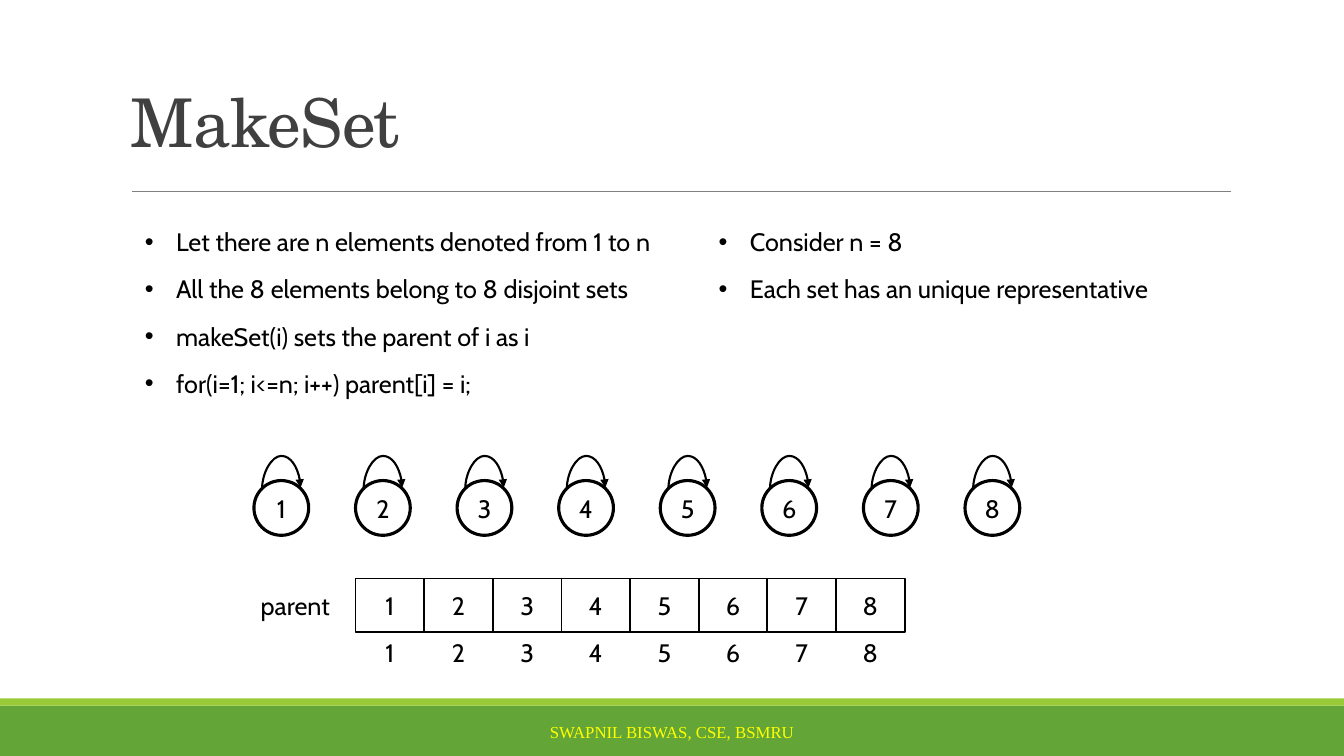
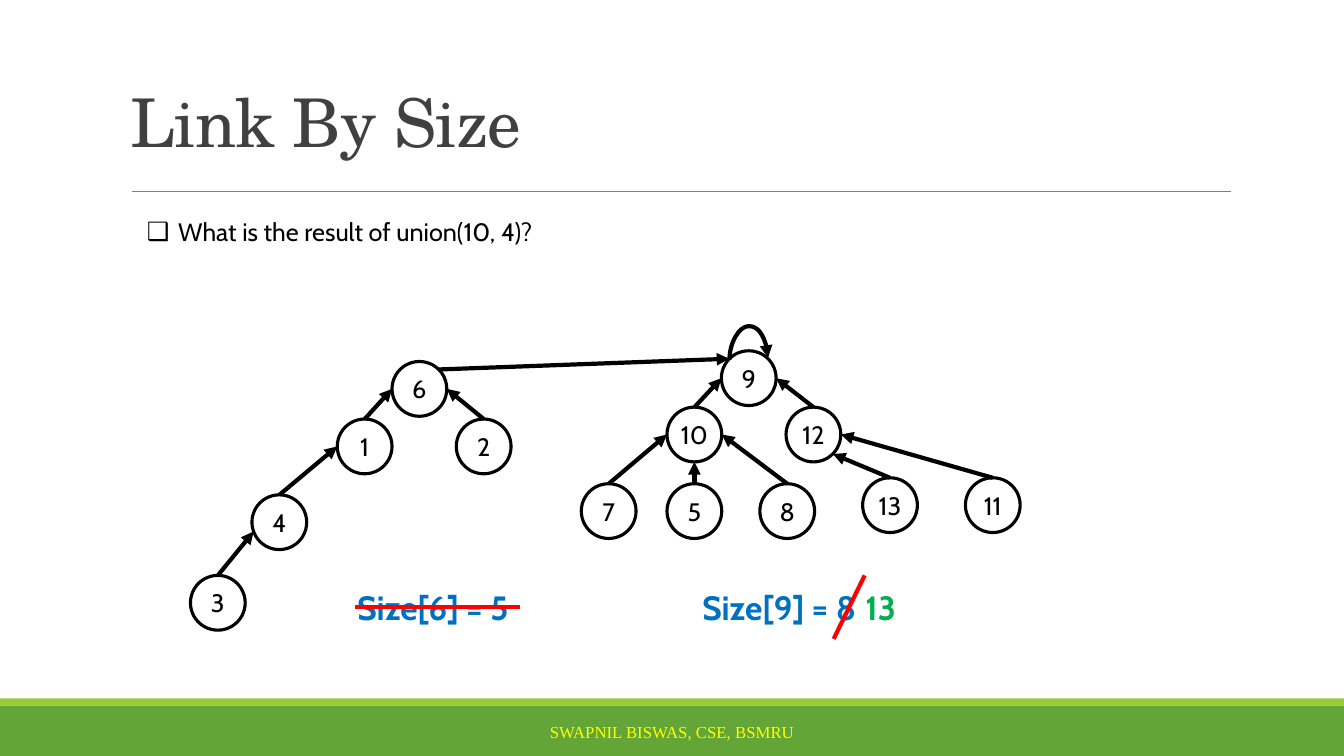
from dataclasses import dataclass
from lxml import etree
from pptx import Presentation
from pptx import util as u
from pptx.dml.color import RGBColor
from pptx.enum import shapes, text
from pptx.oxml.ns import qn

Cm, Pt = u.Cm, u.Pt
KIND, LINE = shapes.MSO_SHAPE, shapes.MSO_CONNECTOR
LEFT, MID = text.PP_ALIGN.LEFT, text.PP_ALIGN.CENTER


# Colours, type and sizes
@dataclass(frozen=True)
class Theme:
    ink: str = "000000"
    paper: str = "FFFFFF"
    dark: str = "63A537"
    lime: str = "99CB38"
    rule: str = "808080"
    grey: str = "404040"
    gold: str = "FFFF00"
    blue: str = "0070C0"
    green: str = "00B050"
    red: str = "FF0000"
    wide: float = 33.87
    high: float = 19.05
    node: float = 1.38

    def style(self, kind):
        name, size, bold, tint = {
            "title": ("TeX Gyre Schola", 48, False, self.grey),
            "body": ("Cabin", 18, False, self.ink),
            "size": ("Cabin", 24, True, self.blue),
            "new": ("Cabin", 24, True, self.green),
            "foot": ("Times New Roman", 12, False, self.gold),
        }[kind]
        return {"name": name, "size": Pt(size), "bold": bold}, tint


T = Theme()
# Points on a circle's edge, in radii from its centre
SITES = {"top": (0, -1), "left": (-1, 0), "right": (1, 0), "base": (0, 1),
         "nw": (-0.71, -0.71), "ne": (0.71, -0.71), "se": (0.71, 0.71),
         "low": (-0.94, 0.34)}


def rgb(tint):
    return RGBColor.from_string(tint)


def lens(*sizes):
    return [Cm(size) for size in sizes]


# Text in a frame, one paragraph per line
def write(shape, lines, kind="body", align=LEFT, anchor=text.MSO_ANCHOR.TOP):
    frame = shape.text_frame
    frame.word_wrap = True
    frame.vertical_anchor = anchor
    look, tint = T.style(kind)
    for i, line in enumerate(lines):
        para = frame.paragraphs[0] if i == 0 else frame.add_paragraph()
        para.alignment = align
        run = para.add_run()
        run.text = line
        for key, value in look.items():
            setattr(run.font, key, value)
        run.font.color.rgb = rgb(tint)
    return frame


def label(slide, box, words, kind="body", **place):
    return write(slide.shapes.add_textbox(*lens(*box)), [words], kind, **place)


def bullets(slide, box, lines, mark="•"):
    frame = write(slide.shapes.add_textbox(*lens(*box)), lines)
    for para in frame.paragraphs:
        para.space_after = Pt(12)
        props = para.runs[0].font and para._p.get_or_add_pPr()
        props.set("marL", str(Cm(0.79)))
        props.set("indent", str(-Cm(0.79)))
        etree.SubElement(props, qn("a:buFont")).set("typeface", "Arial")
        etree.SubElement(props, qn("a:buChar")).set("char", mark)


# Filled shape, with an outline if a weight is given
def block(slide, kind, box, fill, weight=0):
    shape = slide.shapes.add_shape(kind, *lens(*box))
    shape.shadow.inherit = False
    shape.fill.solid()
    shape.fill.fore_color.rgb = rgb(fill)
    if weight:
        shape.line.color.rgb = rgb(T.ink)
        shape.line.width = Pt(weight)
    else:
        shape.line.fill.background()
    return shape


# Shape with its number in the middle
def cell(slide, kind, box, words, weight):
    shape = block(slide, kind, box, T.paper, weight)
    frame = write(shape, [words], align=MID, anchor=text.MSO_ANCHOR.MIDDLE)
    for side in ("left", "right", "top", "bottom"):
        setattr(frame, "margin_" + side, 0)
    return shape


def node(slide, spot, words):
    x, y = spot
    d = T.node
    return cell(slide, KIND.OVAL, (x - d / 2, y - d / 2, d, d), words, 2.25)


# Line or arrow between two points
def line(slide, start, end, weight, tint=T.ink, arrow=False,
         kind=LINE.STRAIGHT):
    con = slide.shapes.add_connector(kind, *lens(*start, *end))
    con.line.color.rgb = rgb(tint)
    con.line.width = Pt(weight)
    if arrow:
        tail = etree.SubElement(con.line._get_or_add_ln(), qn("a:tailEnd"))
        tail.set("type", "triangle")
    etree.SubElement(con.element.spPr, qn("a:effectLst"))
    return con


def site(spot, name):
    return tuple(c + k * T.node / 2 for c, k in zip(spot, SITES[name]))


# Arrow from a node over its top back to itself
def loop(slide, ring, spot, weight):
    x, y = spot[0], site(spot, "nw")[1]
    thin, span, rise = 0.04, 0.97, 0.84
    con = line(slide, (x + thin / 2, y + span / 2),
               (x - thin / 2, y - span / 2), weight, arrow=True,
               kind=LINE.CURVE)
    props = con.element.spPr
    props.find(qn("a:xfrm")).set("rot", str(90 * 60000))
    geom = props.find(qn("a:prstGeom"))
    guides = geom.find(qn("a:avLst"))
    if guides is None:
        guides = etree.SubElement(geom, qn("a:avLst"))
    guide = etree.SubElement(guides, qn("a:gd"))
    guide.set("name", "adj1")
    guide.set("fmla", f"val {round(rise / thin * 100000)}")
    ends = con.element.find(".//" + qn("p:cNvCxnSpPr"))
    for tag, idx in (("a:stCxn", "1"), ("a:endCxn", "7")):
        end = etree.SubElement(ends, qn(tag))
        end.set("id", str(ring.shape_id))
        end.set("idx", idx)


# Bands, title, rule and footer of every slide
def page(deck, title):
    slide = deck.slides.add_slide(deck.slide_layouts[6])
    block(slide, KIND.RECTANGLE, (0, 17.78, T.wide, 1.27), T.dark)
    block(slide, KIND.RECTANGLE, (0, 17.6, T.wide, 0.18), T.lime)
    line(slide, (3.33, 4.83), (31.01, 4.83), 0.5, T.rule)
    frame = label(slide, (3.05, 0.15, 27.94, 4.04), title, "title",
                  anchor=text.MSO_ANCHOR.BOTTOM)
    para = frame.paragraphs[0]
    para.line_spacing = 0.85
    para.runs[0].font._element.set("spc", "-50")
    label(slide, (10.24, 17.93, 13.39, 1.02), "SWAPNIL BISWAS, CSE, BSMRU",
          "foot", align=MID, anchor=text.MSO_ANCHOR.MIDDLE)
    return slide


# Row of single nodes, each its own parent
def rings(slide, x, y, count, step=2.56):
    for i in range(count):
        spot = (x + i * step, y)
        loop(slide, node(slide, spot, str(i + 1)), spot, 1.5)


# Parent array with its index below
def array(slide, x, y, count, step=1.73, high=1.35):
    label(slide, (x - 2.64, y + 0.18, 2.6, 1.02), "parent")
    for i in range(count):
        left, word = x + i * step, str(i + 1)
        cell(slide, KIND.RECTANGLE, (left, y, step, high), word, 1.25)
        label(slide, (left, y + high, step, 1.02), word, align=MID)


# Nodes with arrows from child to parent
def tree(slide, x, y, spots, links, root):
    spots = {key: (x + a, y + b) for key, (a, b) in spots.items()}
    nodes = {key: node(slide, spot, str(key)) for key, spot in spots.items()}
    for child, start, parent, end in links:
        line(slide, site(spots[child], start), site(spots[parent], end), 3,
             arrow=True)
    loop(slide, nodes[root], spots[root], 3)


# Set sizes with the old values struck out
def sizes(slide, x, y):
    for dx, words, kind in ((0, "Size[6] = 5", "size"),
                            (8.69, "Size[9] = 8", "size"),
                            (12.8, "13", "new")):
        label(slide, (x + dx, y, 4.8, 1.27), words, kind)
    for start, end in (((0.18, 0.63), (4.35, 0.63)),
                       ((13.03, -0.16), (12.25, 1.44))):
        line(slide, (x + start[0], y + start[1]), (x + end[0], y + end[1]),
             3, T.red)


def make(deck):
    slide = page(deck, "MakeSet")
    bullets(slide, (3.4, 5.59, 14, 4.6), [
        "Let there are n elements denoted from 1 to n",
        "All the 8 elements belong to 8 disjoint sets",
        "makeSet(i) sets the parent of i as i",
        "for(i=1; i<=n; i++) parent[i] = i;"])
    bullets(slide, (17.86, 5.59, 13, 2.2), [
        "Consider n = 8", "Each set has an unique representative"])
    rings(slide, 7.09, 12.8, 8)
    array(slide, 8.96, 14.58, 8)


def link(deck):
    slide = page(deck, "Link By Size")
    bullets(slide, (3.45, 5.33, 14, 1.02),
            ["What is the result of union(10, 4)?"], "❑")
    spots = {6: (5.08, 1.6), 1: (3.7, 3.05), 2: (6.7, 3.05), 4: (1.55, 4.96),
             3: (0, 6.99), 9: (13.38, 1.33), 10: (12.01, 2.75),
             12: (15.01, 2.75), 7: (9.85, 4.68), 5: (12.01, 4.68),
             8: (14.35, 4.68), 13: (16.94, 4.53), 11: (19.53, 4.53)}
    rises = ((1, 6, "left"), (2, 6, "right"), (4, 1, "left"), (3, 4, "low"),
             (10, 9, "left"), (12, 9, "right"), (7, 10, "left"),
             (5, 10, "base"), (8, 10, "right"), (13, 12, "se"),
             (11, 12, "right"))
    links = [(child, "top", parent, end) for child, parent, end in rises]
    tree(slide, 5.49, 8.2, spots, links + [(6, "ne", 9, "nw")], 9)
    sizes(slide, 8.76, 14.66)


def main():
    deck = Presentation()
    deck.slide_width, deck.slide_height = lens(T.wide, T.high)
    make(deck)
    link(deck)
    deck.save("out.pptx")


if __name__ == "__main__":
    main()
